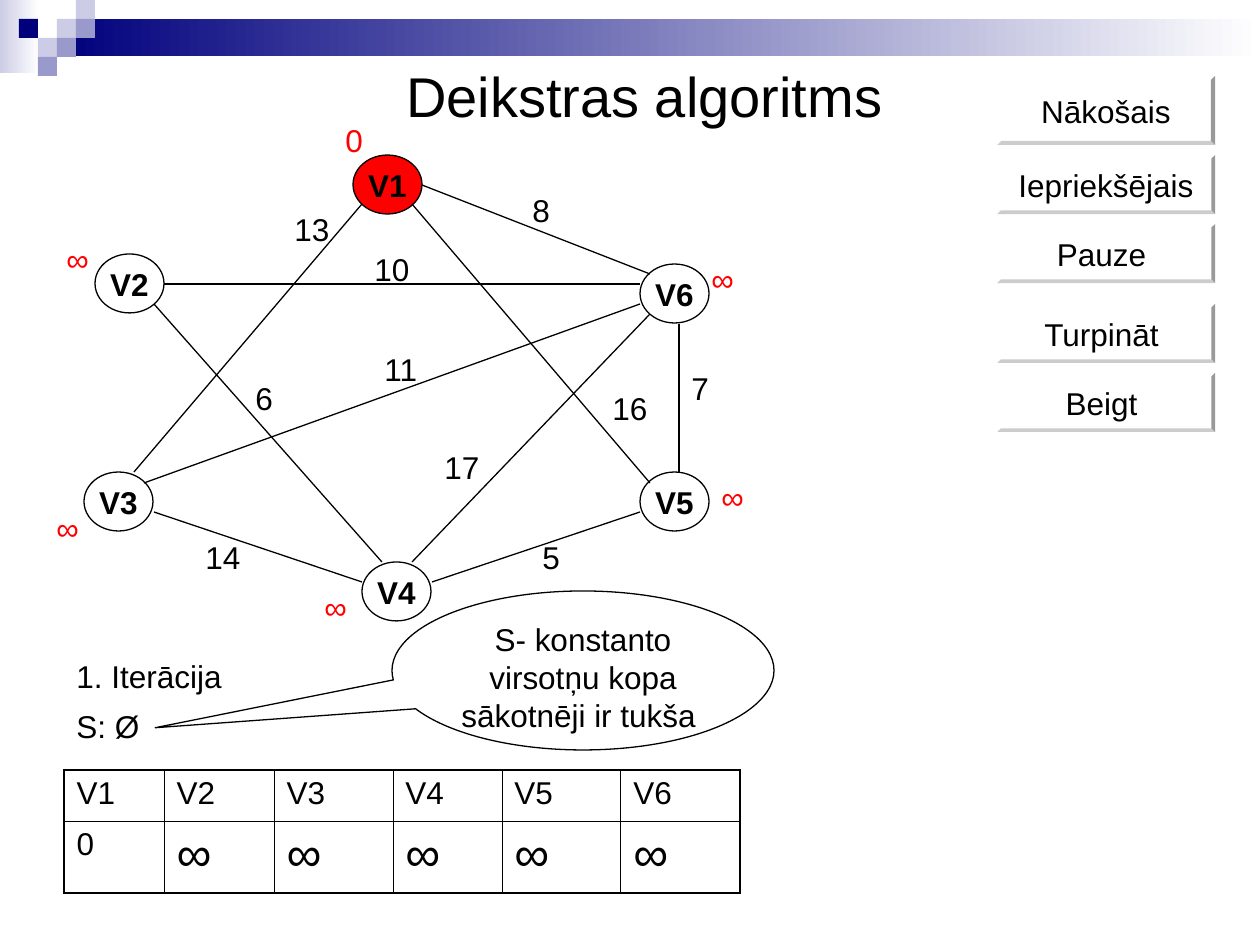
from pptx import Presentation
from pptx.dml.color import RGBColor as RGB
from pptx.enum.shapes import MSO_CONNECTOR as LINK, MSO_SHAPE as KIND
from pptx.enum.text import MSO_ANCHOR as ANCHOR, MSO_AUTO_SIZE as AUTO, PP_ALIGN as ALIGN
from pptx.oxml import parse_xml
from pptx.oxml.ns import nsdecls
from pptx.util import Emu, Pt


class Theme:
    font = "Arial"
    black = RGB.from_string("000000")
    white = RGB.from_string("FFFFFF")
    red = RGB.from_string("FF0000")
    navy = RGB.from_string("00007D")
    pale = RGB.from_string("CCCCE6")
    lilac = RGB.from_string("9999CC")
    head = 32
    body = 18
    large = 28
    thin = 0.75
    outer = 1.08
    inner = 0.45


SCALE = 914400 / 126


def span(*vals):
    return [Emu(round(val * SCALE)) for val in vals]


def write(frame, text, size=Theme.body, tint=Theme.black, bold=False, align=ALIGN.LEFT):
    para = frame.paragraphs[0]
    para.alignment = align
    run = para.add_run()
    run.text = text
    run.font.name = Theme.font
    run.font.size = Pt(size)
    run.font.bold = bold
    run.font.color.rgb = tint


deck = Presentation()
deck.slide_width, deck.slide_height = span(1260, 945)
slide = deck.slides.add_slide(deck.slide_layouts[5])
shapes = slide.shapes

for box, start, end in [
    ((0, 0, 39, 73), Theme.pale, Theme.white),
    ((57, 19, 1203, 37), Theme.navy, Theme.white),
]:
    band = shapes.add_shape(KIND.RECTANGLE, *span(*box))
    band.shadow.inherit = False
    band.line.fill.background()
    band.fill.gradient()
    band.fill.gradient_angle = 0
    for stop, tint in zip(band.fill.gradient_stops, (start, end)):
        stop.color.rgb = tint

for col, row, tint in [
    (3, 1, Theme.pale), (4, 0, Theme.pale), (4, 1, Theme.lilac), (2, 2, Theme.pale),
    (1, 1, Theme.navy), (3, 2, Theme.lilac), (2, 3, Theme.lilac),
]:
    tile = shapes.add_shape(KIND.RECTANGLE, *span(col * 19, row * 19, 19, 19))
    tile.shadow.inherit = False
    tile.line.fill.background()
    tile.fill.solid()
    tile.fill.fore_color.rgb = tint

title = shapes.title
title.left, title.top, title.width, title.height = span(223, 55, 843, 81)
title.text_frame.auto_size = AUTO.NONE
title.text_frame.vertical_anchor = ANCHOR.TOP
write(title.text_frame, "Deikstras algoritms", Theme.head, align=ALIGN.CENTER)

for name, left, top in [
    ("V1", 353, 155), ("V2", 95, 254), ("V3", 84, 472),
    ("V5", 640, 472), ("V6", 640, 264), ("V4", 362, 562),
]:
    node = shapes.add_shape(KIND.OVAL, *span(left, top, 69, 59))
    node.shadow.inherit = False
    node.line.color.rgb = Theme.black
    node.line.width = Pt(Theme.thin)
    node.fill.background()
    if name == "V1":
        node.fill.solid()
        node.fill.fore_color.rgb = Theme.red
    node.text_frame.word_wrap = False
    write(node.text_frame, name, bold=True, align=ALIGN.CENTER)

for text, top, high in [
    ("Nākošais", 76, 69), ("Iepriekšējais", 155, 59), ("Pauze ", 224, 59),
    ("Turpināt ", 304, 59), ("Beigt ", 373, 59),
]:
    key = shapes.add_shape(KIND.BEVEL, *span(997, top, 218, high))
    key.shadow.inherit = False
    key.adjustments[0] = 0.06
    key.fill.solid()
    key.fill.fore_color.rgb = Theme.white
    key.line.fill.background()
    key.text_frame.word_wrap = False
    write(key.text_frame, text, align=ALIGN.CENTER)

for ends in [
    (422, 185, 650, 274), (412, 204, 650, 483), (362, 204, 134, 472),
    (164, 284, 640, 284), (154, 304, 382, 562), (144, 483, 640, 304),
    (154, 512, 362, 582), (412, 562, 650, 314), (432, 582, 640, 512),
    (679, 472, 679, 324),
]:
    edge = shapes.add_connector(LINK.STRAIGHT, *span(*ends))
    edge.line.color.rgb = Theme.black
    edge.line.width = Pt(Theme.thin)
    edge._element.spPr.append(parse_xml(f"<a:effectLst {nsdecls('a')}/>"))

bubble = shapes.add_shape(KIND.OVAL_CALLOUT, *span(392, 591, 382, 159))
bubble.shadow.inherit = False
bubble.adjustments[0] = -1.12
bubble.adjustments[1] = 0.36
bubble.fill.solid()
bubble.fill.fore_color.rgb = Theme.white
bubble.line.color.rgb = Theme.black
bubble.line.width = Pt(Theme.thin)
bubble.text_frame.word_wrap = True
bubble.text_frame.vertical_anchor = ANCHOR.TOP
write(bubble.text_frame, "S- konstanto virsotņu kopa sākotnēji ir tukša ", align=ALIGN.CENTER)

for text, left, top, wide, tint in [
    ("8", 520, 185, 39, Theme.black), ("13", 282, 204, 69, Theme.black),
    ("10", 362, 244, 69, Theme.black), ("7", 679, 363, 49, Theme.black),
    ("16", 600, 383, 69, Theme.black), ("5", 530, 532, 69, Theme.black),
    ("11", 372, 344, 69, Theme.black), ("6", 243, 373, 69, Theme.black),
    ("14", 193, 532, 69, Theme.black), ("17", 432, 442, 69, Theme.black),
    ("0", 333, 115, 59, Theme.red), ("∞", 54, 234, 59, Theme.red),
    ("∞", 44, 503, 59, Theme.red), ("∞", 312, 582, 59, Theme.red),
    ("∞", 709, 472, 59, Theme.red), ("∞", 699, 254, 59, Theme.red),
    ("S: Ø", 64, 701, 586, Theme.black), ("1. Iterācija", 64, 651, 218, Theme.black),
]:
    label = shapes.add_textbox(*span(left, top, wide, 50))
    label.text_frame.word_wrap = True
    write(label.text_frame, text, tint=tint)

rows = [["V1", "V2", "V3", "V4", "V5", "V6"], ["0"] + ["∞"] * 5]
wides = [100, 110, 119, 109, 119, 119]
highs = [51, 72]
grid = shapes.add_table(2, 6, *span(64, 770, sum(wides), sum(highs))).table
grid.first_row = False
grid.horz_banding = False
for col, wide in zip(grid.columns, span(*wides)):
    col.width = wide
for row, high in zip(grid.rows, span(*highs)):
    row.height = high
for r, row in enumerate(rows):
    for c, text in enumerate(row):
        cell = grid.cell(r, c)
        cell.fill.background()
        write(cell.text_frame, text, Theme.large if text == "∞" else Theme.body)
        rims = [("L", c == 0), ("R", c == 5), ("T", r == 0), ("B", r == 1)]
        for spot, (side, edge) in enumerate(rims):
            wide = Pt(Theme.outer if edge else Theme.inner)
            cell._tc.tcPr.insert(spot, parse_xml(
                f'<a:ln{side} {nsdecls("a")} w="{wide}"><a:solidFill>'
                f'<a:srgbClr val="{Theme.black}"/></a:solidFill></a:ln{side}>'))

deck.save("out.pptx")
